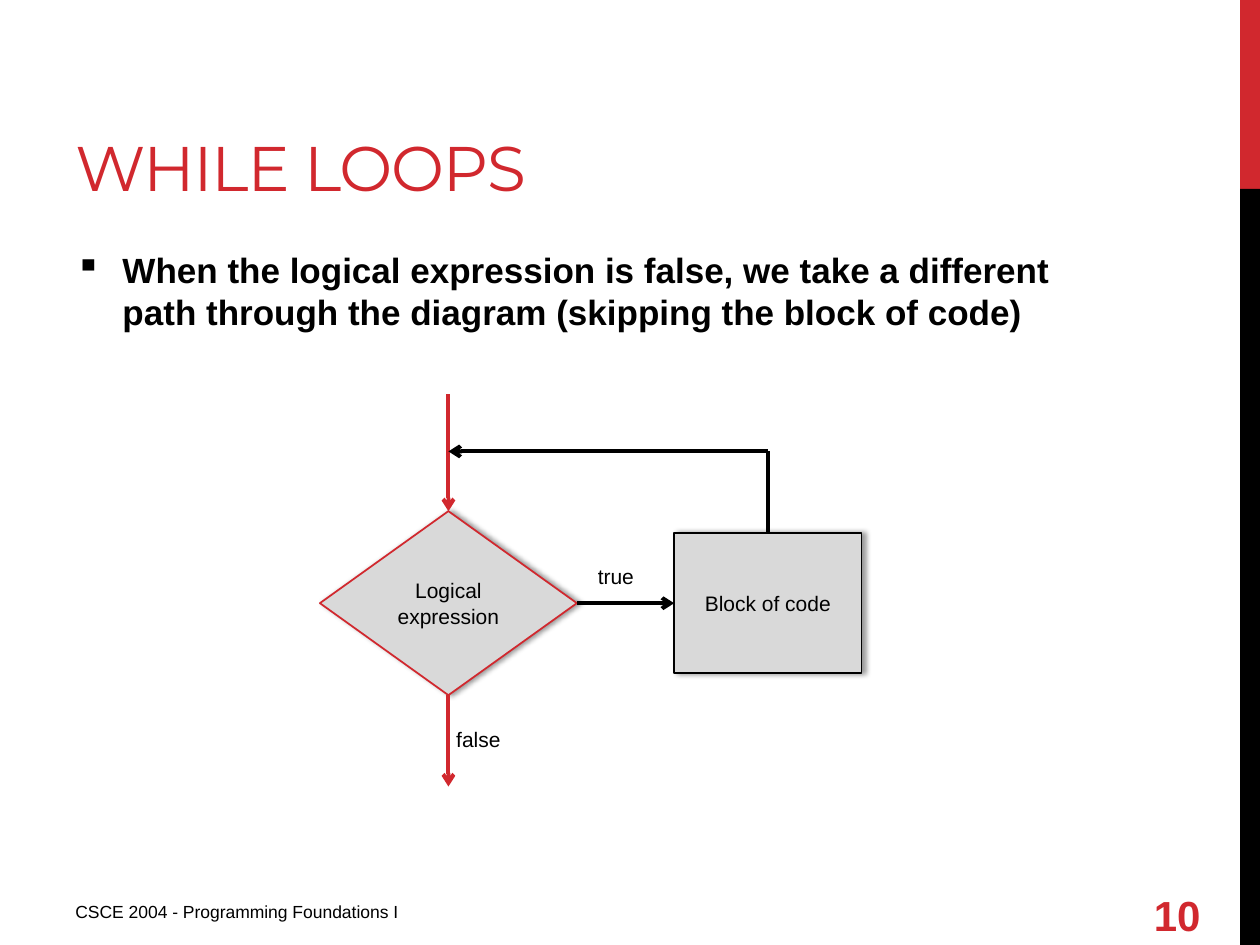
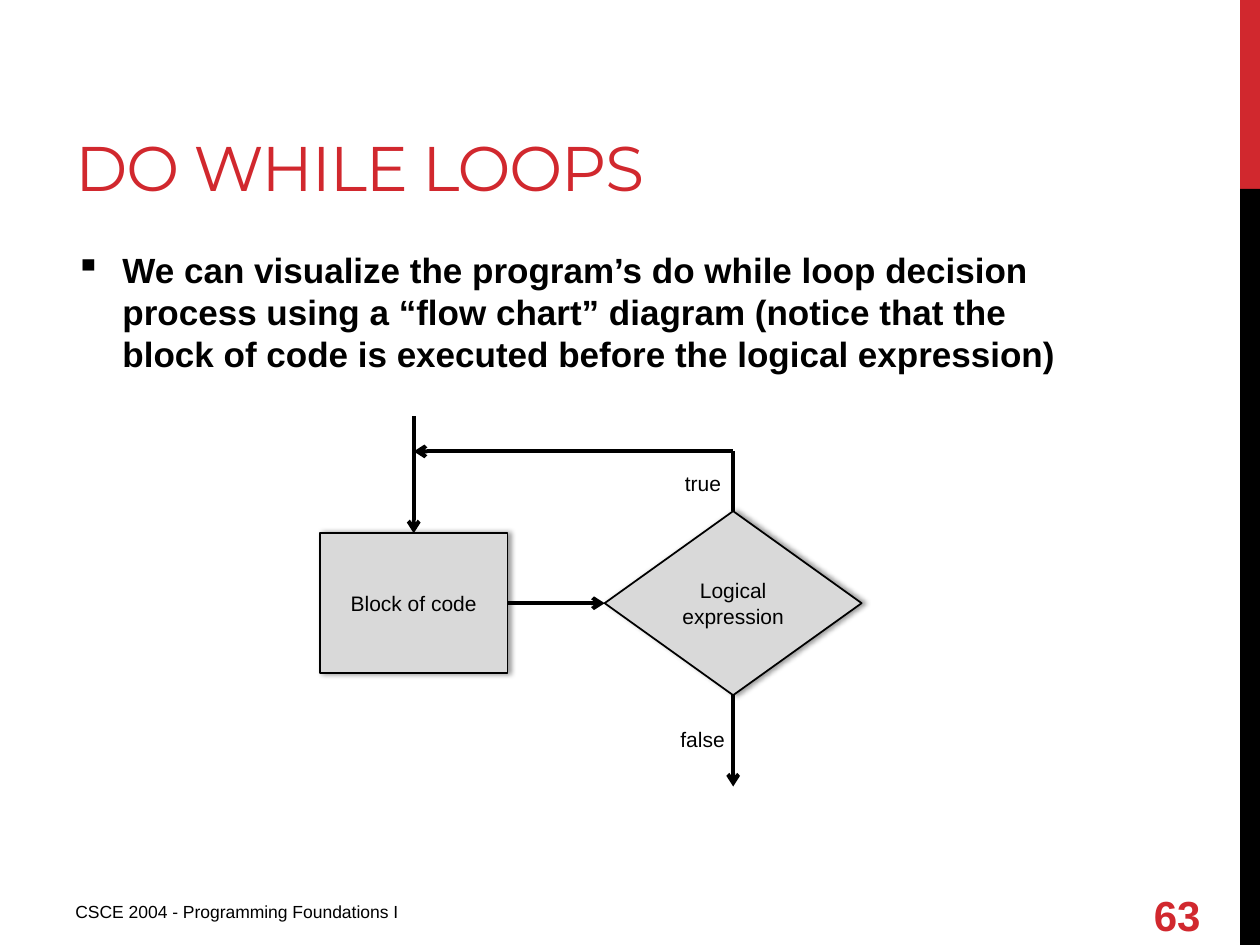
from lxml import etree
from pptx import Presentation
from pptx.dml.color import RGBColor
from pptx.enum.shapes import MSO_CONNECTOR, MSO_SHAPE
from pptx.enum.text import MSO_ANCHOR, PP_ALIGN
from pptx.oxml.ns import qn
from pptx.util import Cm, Pt

RECTANGLE, DIAMOND = MSO_SHAPE.RECTANGLE, MSO_SHAPE.DIAMOND
STRAIGHT = MSO_CONNECTOR.STRAIGHT
TOP, MIDDLE, BOTTOM = MSO_ANCHOR.TOP, MSO_ANCHOR.MIDDLE, MSO_ANCHOR.BOTTOM
LEFT, CENTER = PP_ALIGN.LEFT, PP_ALIGN.CENTER
SITE_TOP, SITE_LEFT, SITE_BOTTOM, SITE_RIGHT = range(4)

RED, BLACK, GREY, WHITE = "D1282E", "000000", "D9D9D9", "FFFFFF"

FOOTER = "CSCE 2004 - Programming Foundations I"
BANDS = [(0, 3.81, RED), (3.81, 15.24, BLACK)]

TITLE_STYLE = {"name": "Montserrat", "size": Pt(36), "color": RED}
BODY_STYLE = {"name": "Arial", "size": Pt(20), "bold": True, "color": BLACK}
FOOTER_STYLE = {"name": "Arial", "size": Pt(10), "color": BLACK}
NUMBER_STYLE = {"name": "Arial", "size": Pt(24), "bold": True, "color": RED}
LABEL_STYLE = {"name": "Arial", "size": Pt(12), "color": BLACK}

NODES = {
    "condition": ("Logical expression", DIAMOND, 5.18, 3.71),
    "block": ("Block of code", RECTANGLE, 3.78, 2.82),
}
DIAGRAM_LEFT, DIAGRAM_RIGHT, DIAGRAM_AXIS = 6.45, 17.37, 12.16
RETURN_Y, ENTRY_LENGTH, EXIT_LENGTH = 9.1, 2.36, 1.84
LABEL_HEIGHT = 0.77

SLIDES = [
    {
        "title": "WHILE LOOPS",
        "number": "10",
        "body": "When the logical expression is false, we take a different "
                "path through the diagram (skipping the block of code)",
        "order": ("condition", "block"),
        "route": RED,
        "labels": [("true", 11.13, 11.23, 2.57, None), ("false", 8.36, 14.53, 2.57, WHITE)],
    },
    {
        "title": "DO WHILE LOOPS",
        "number": "63",
        "body": "We can visualize the program’s do while loop decision process "
                "using a “flow chart” diagram (notice that the block of code is "
                "executed before the logical expression)",
        "order": ("block", "condition"),
        "route": BLACK,
        "labels": [("true", 13.23, 9.37, 1.88, None), ("false", 12.88, 14.53, 2.57, WHITE)],
    },
]


def rgb(color):
    return RGBColor.from_string(color)


def add_child(parent, tag, **attributes):
    return etree.SubElement(parent, qn(tag), attributes)


def paint(shape, color):
    shape.fill.solid()
    shape.fill.fore_color.rgb = rgb(color)


def write(shape, text, style, align=LEFT, anchor=TOP):
    frame = shape.text_frame
    frame.word_wrap = True
    frame.vertical_anchor = anchor
    paragraph = frame.paragraphs[0]
    paragraph.alignment = align
    run = paragraph.add_run()
    run.text = text
    for key, value in style.items():
        if key == "color":
            run.font.color.rgb = rgb(value)
        else:
            setattr(run.font, key, value)
    return paragraph


def add_text(slide, box, text, style, **layout):
    shape = slide.shapes.add_textbox(*map(Cm, box))
    return shape, write(shape, text, style, **layout)


def add_bands(slide):
    for top, height, color in BANDS:
        band = slide.shapes.add_shape(RECTANGLE, Cm(25), Cm(top), Cm(0.4), Cm(height))
        band.shadow.inherit = False
        band.line.fill.background()
        paint(band, color)


def add_body(slide, text):
    paragraph = add_text(slide, (1.27, 4.88, 21.16, 12.14), text, BODY_STYLE)[1]
    properties = paragraph._p.get_or_add_pPr()
    properties.set("marL", str(Cm(0.95)))
    properties.set("indent", str(-Cm(0.95)))
    add_child(properties, "a:buChar", char="▪")
    paragraph.space_after = Pt(6)


def add_node(slide, name, left, color):
    text, kind, width, height = NODES[name]
    top = DIAGRAM_AXIS - height / 2
    node = slide.shapes.add_shape(kind, Cm(left), Cm(top), Cm(width), Cm(height))
    paint(node, GREY)
    node.line.color.rgb = rgb(color)
    node.line.width = Pt(1)
    node.shadow.inherit = False
    effects = node._element.spPr.find(qn("a:effectLst"))
    shadow = add_child(effects, "a:outerShdw", blurRad=str(Pt(3.1)), dist=str(Pt(1.8)),
                       dir="0", rotWithShape="0")
    add_child(add_child(shadow, "a:srgbClr", val=BLACK), "a:alpha", val="40000")
    node.text_frame.margin_left = node.text_frame.margin_right = 0
    write(node, text, LABEL_STYLE, align=CENTER, anchor=MIDDLE)
    return node


def add_line(slide, start, end, color=BLACK, arrow=True, begin=None, finish=None):
    line = slide.shapes.add_connector(STRAIGHT, *start, *end)
    if begin:
        line.begin_connect(*begin)
    if finish:
        line.end_connect(*finish)
    line.line.color.rgb = rgb(color)
    line.line.width = Pt(2.25)
    if arrow:
        add_child(line.line._get_or_add_ln(), "a:tailEnd", type="arrow")
    add_child(line._element.spPr, "a:effectLst")


def add_flow_chart(slide, order, route, labels):
    first_name, second_name = order
    colors = {"condition": route, "block": BLACK}
    second_left = DIAGRAM_RIGHT - NODES[second_name][2]
    first = add_node(slide, first_name, DIAGRAM_LEFT, colors[first_name])
    second = add_node(slide, second_name, second_left, colors[second_name])
    condition = first if first_name == "condition" else second

    for text, left, top, width, fill in labels:
        label = add_text(slide, (left, top, width, LABEL_HEIGHT), text, LABEL_STYLE,
                         align=CENTER)[0]
        if fill:
            paint(label, fill)

    first_x, second_x, condition_x = (node.left + node.width // 2
                                      for node in (first, second, condition))
    bottom = condition.top + condition.height
    axis, return_y = Cm(DIAGRAM_AXIS), Cm(RETURN_Y)
    add_line(slide, (first_x, first.top - Cm(ENTRY_LENGTH)), (first_x, first.top), route,
             finish=(first, SITE_TOP))
    add_line(slide, (condition_x, bottom), (condition_x, bottom + Cm(EXIT_LENGTH)), route,
             begin=(condition, SITE_BOTTOM))
    add_line(slide, (first.left + first.width, axis), (second.left, axis),
             begin=(first, SITE_RIGHT), finish=(second, SITE_LEFT))
    add_line(slide, (second_x, second.top), (second_x, return_y), arrow=False,
             begin=(second, SITE_TOP))
    add_line(slide, (second_x, return_y), (first_x, return_y))


def add_slide(presentation, content):
    slide = presentation.slides.add_slide(presentation.slide_layouts[6])
    add_bands(slide)
    title = add_text(slide, (1.27, 0.43, 16.08, 3.81), content["title"], TITLE_STYLE,
                     anchor=BOTTOM)[1]
    title.runs[0]._r.get_or_add_rPr().set("spc", "-60")
    add_body(slide, content["body"])
    add_text(slide, (1.27, 18.03, 9.53, 0.79), FOOTER, FOOTER_STYLE)
    add_text(slide, (23.01, 17.93, 1.88, 1.02), content["number"], NUMBER_STYLE,
             anchor=MIDDLE)
    add_flow_chart(slide, content["order"], content["route"], content["labels"])


def main():
    presentation = Presentation()
    presentation.slide_width, presentation.slide_height = Cm(25.4), Cm(19.05)
    for content in SLIDES:
        add_slide(presentation, content)
    presentation.save("out.pptx")


if __name__ == "__main__":
    main()
